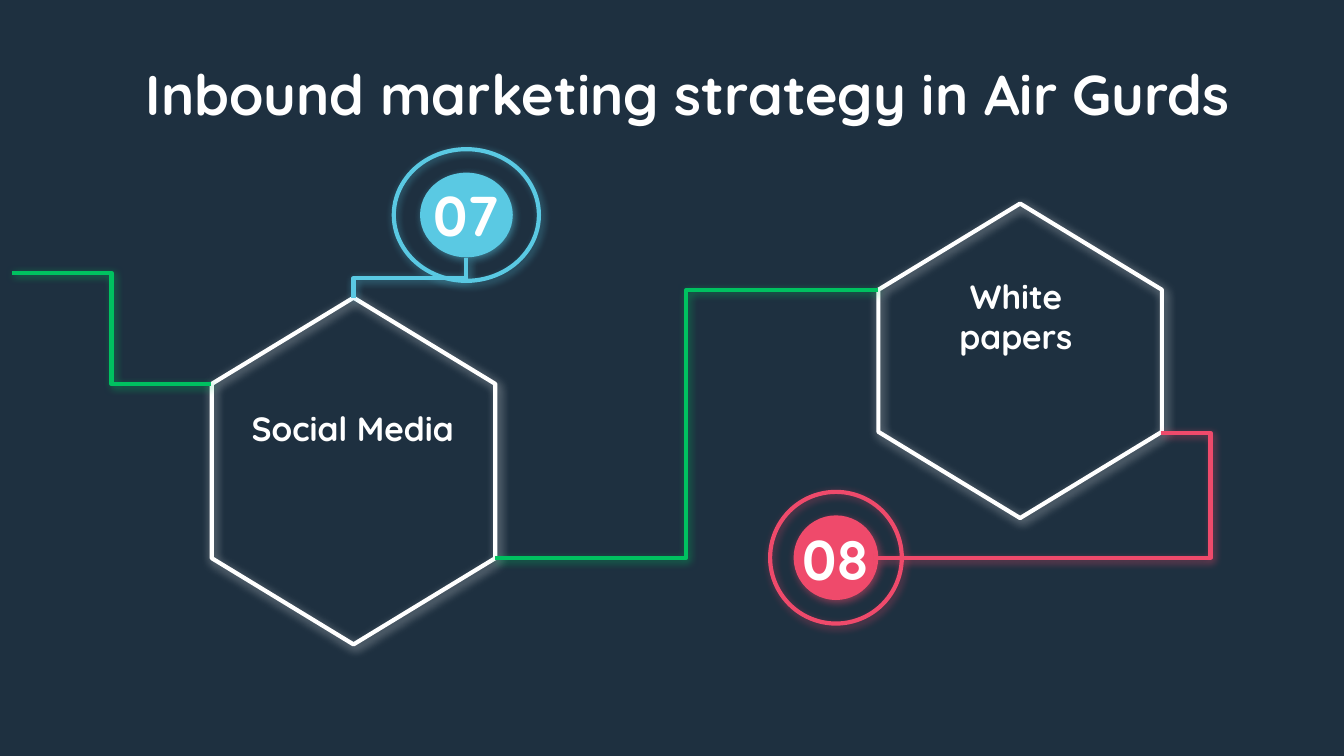
from lxml import etree
from pptx import Presentation
from pptx.dml.color import RGBColor
from pptx.enum import shapes, text
from pptx.oxml.ns import qn
from pptx.util import Inches, Pt

COLORS = {"night": "1E3040", "white": "FFFFFF", "green": "00C160",
          "blue": "5AC9E3", "red": "EF4A6B"}
FONT = "Quicksand"


def color(name):
    return RGBColor.from_string(COLORS[name])


def add_glow(shape, name, alpha, blur, angle):
    """Give a shape or connector a soft shadow in its own colour."""
    properties = shape._element.spPr
    effects = etree.SubElement(properties, qn("a:effectLst"))
    shadow = etree.SubElement(
        effects, qn("a:outerShdw"), blurRad=str(Pt(blur)), dist=str(Pt(1.5)),
        dir=str(angle * 60000), algn="bl", rotWithShape="0")
    tint = etree.SubElement(shadow, qn("a:srgbClr"), val=COLORS[name])
    etree.SubElement(tint, qn("a:alpha"), val=str(alpha * 1000))


deck = Presentation()
deck.slide_width = Inches(10)
deck.slide_height = Inches(10 * 9 / 16)
page = deck.slides.add_slide(deck.slide_layouts[6])
page.background.fill.solid()
page.background.fill.fore_color.rgb = color("night")

# Hexagons standing on a point
for left, top, width in [(6.42, 1.63, 2.34), (1.34, 2.45, 2.58)]:
    hexagon = page.shapes.add_shape(
        shapes.MSO_SHAPE.HEXAGON, Inches(left), Inches(top), Inches(width), Inches(2.11))
    hexagon.adjustments[0] = 0.304
    hexagon.rotation = 90
    hexagon.fill.background()
    hexagon.line.color.rgb = color("white")
    hexagon.line.width = Pt(2.25)
    add_glow(hexagon, "white", 54, 5.6, 54)

# Number badges: an outlined ring around a filled disc
for name, center_x, center_y, ring_width, disc_width in [
        ("blue", 3.47, 1.6, 1.08, 0.69), ("red", 6.22, 4.15, 0.98, 0.63)]:
    for width, height, filled in [(ring_width, 0.98, False), (disc_width, 0.63, True)]:
        circle = page.shapes.add_shape(
            shapes.MSO_SHAPE.OVAL, Inches(center_x - width / 2),
            Inches(center_y - height / 2), Inches(width), Inches(height))
        if filled:
            circle.fill.solid()
            circle.fill.fore_color.rgb = color(name)
            circle.line.fill.background()
        else:
            circle.fill.background()
            circle.line.color.rgb = color(name)
            circle.line.width = Pt(2.25)
        add_glow(circle, name, 51 if filled else 45, 4.5, 55)

# Elbow paths: colour, start, end, bend position in percent, rotation
for name, start, end, bend, rotation in [
        ("green", (1.57, 2.86), (0.09, 2.03), 50, 0),
        ("blue", (2.9, 1.65), (3.2, 2.49), 50, 90),
        ("green", (6.53, 2.16), (3.68, 4.15), 50, 0),
        ("red", (6.53, 4.15), (8.64, 3.22), 117.4, 0)]:
    path = page.shapes.add_connector(
        shapes.MSO_CONNECTOR.ELBOW, *[Inches(value) for value in start + end])
    path.line.color.rgb = color(name)
    path.line.width = Pt(2.25)
    properties = path._element.spPr
    if rotation:
        properties.find(qn("a:xfrm")).set("rot", str(rotation * 60000))
    guides = properties.find(qn("a:prstGeom")).find(qn("a:avLst"))
    etree.SubElement(guides, qn("a:gd"), name="adj1", fmla=f"val {round(bend * 1000)}")
    add_glow(path, name, 53, 4.5, 52)

# Text: wording, left, top, width, height, size, anchor
MIDDLE, TOP = text.MSO_ANCHOR.MIDDLE, text.MSO_ANCHOR.TOP
for words, left, top, width, height, size, anchor in [
        ("Social Media", 1.56, 2.86, 2.13, 0.65, 18, MIDDLE),
        ("White papers", 6.81, 1.95, 1.5, 0.65, 18, TOP),
        ("07", 2.93, 1.34, 1.08, 0.51, 30, MIDDLE),
        ("08", 5.73, 3.9, 0.98, 0.51, 30, MIDDLE),
        ("Inbound marketing strategy in Air Gurds", 0.42, 0.43, 9.4, 0.52, 30, MIDDLE)]:
    box = page.shapes.add_textbox(Inches(left), Inches(top), Inches(width), Inches(height))
    frame = box.text_frame
    frame.word_wrap = True
    frame.vertical_anchor = anchor
    frame.margin_left = frame.margin_right = Inches(0.1)
    frame.margin_top = frame.margin_bottom = Inches(0.1)
    para = frame.paragraphs[0]
    para.text = words
    para.alignment = text.PP_ALIGN.CENTER
    para.font.name = FONT
    para.font.size = Pt(size)
    para.font.bold = True
    para.font.color.rgb = color("white")

deck.save("out.pptx")
